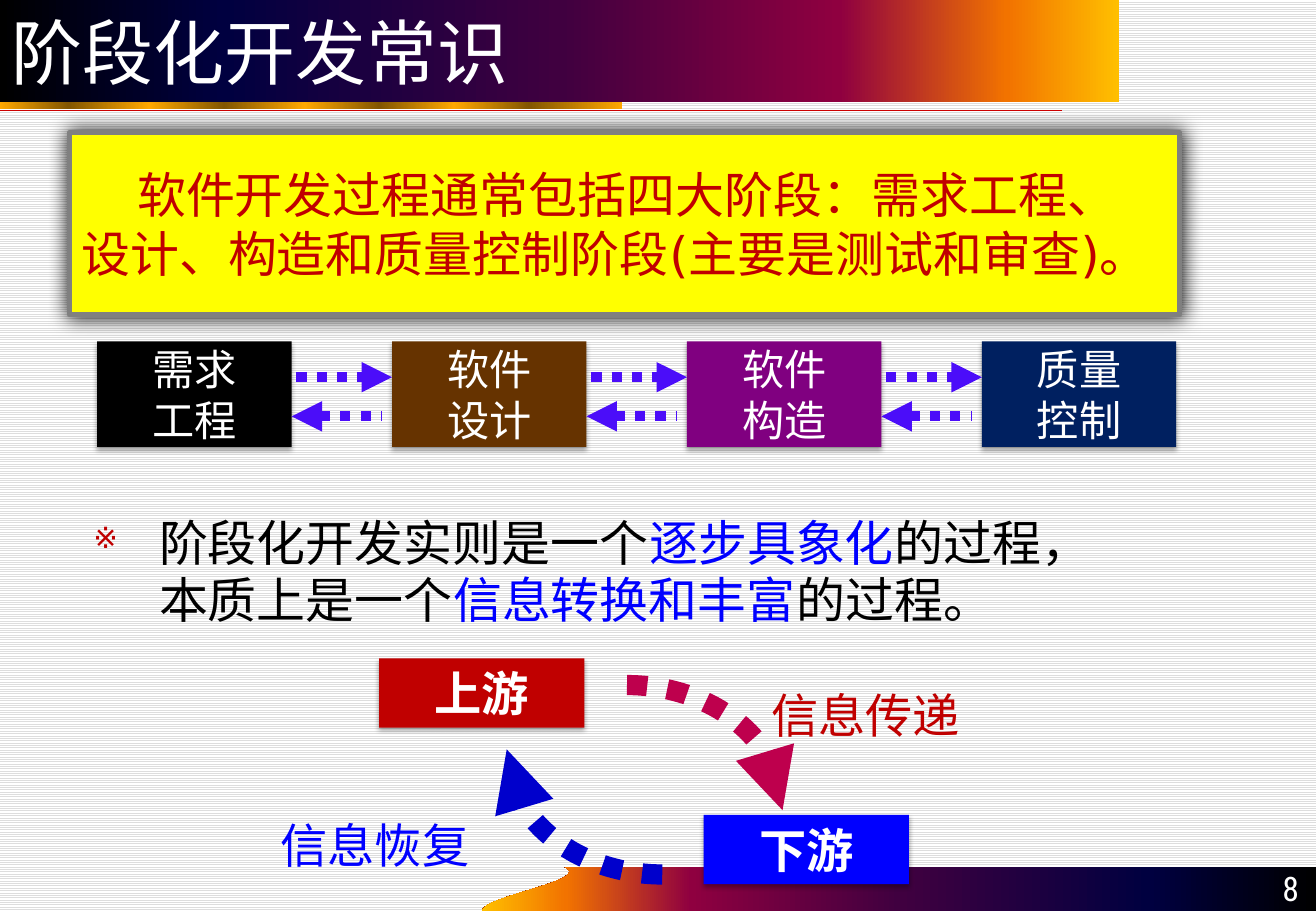
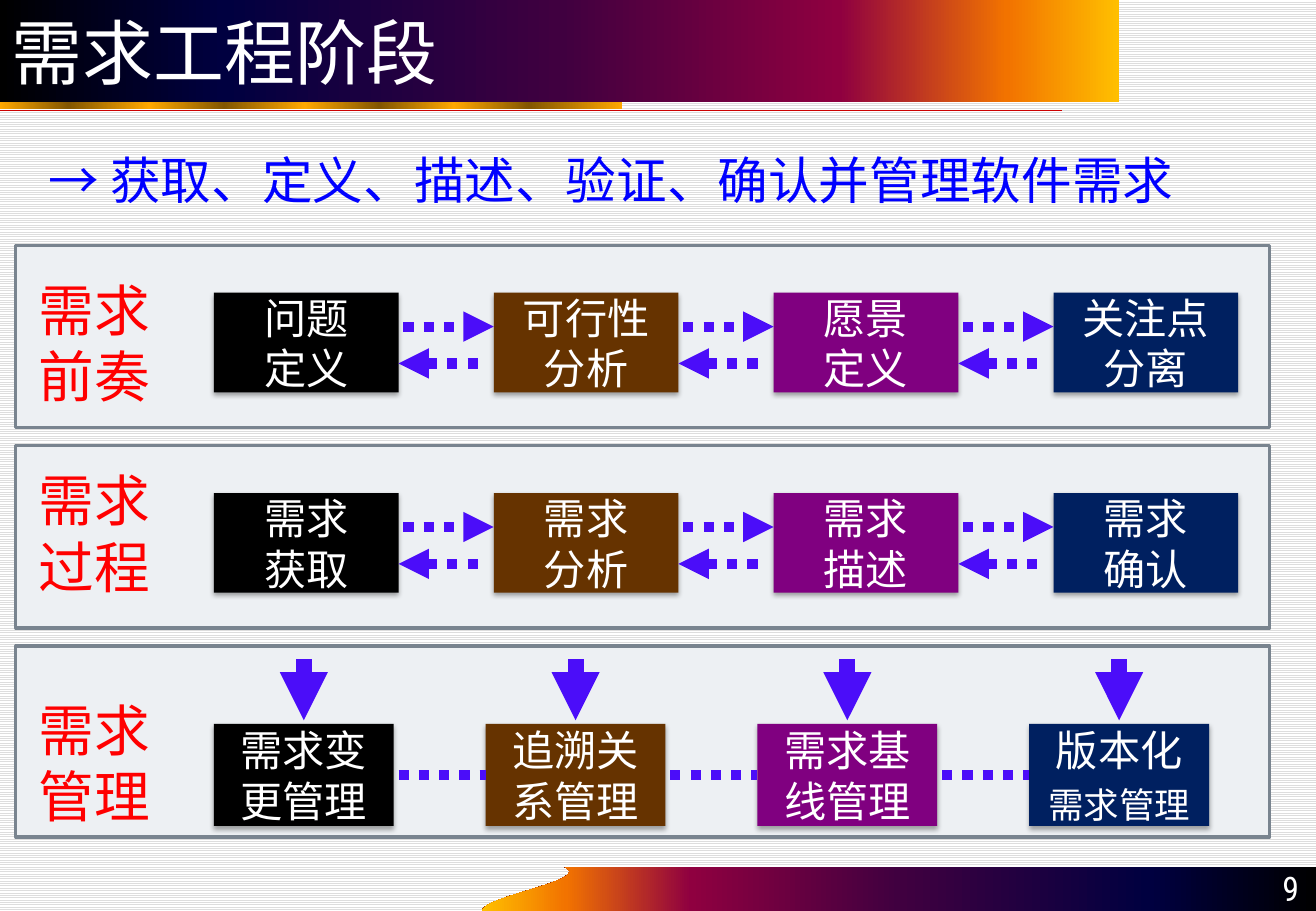
from math import cos, pi, sin

from pptx import Presentation
from pptx.dml.color import RGBColor
from pptx.enum.dml import MSO_LINE, MSO_PATTERN
from pptx.enum.shapes import MSO_CONNECTOR, MSO_SHAPE
from pptx.enum.text import MSO_ANCHOR, PP_ALIGN
from pptx.oxml.ns import qn
from pptx.util import Inches, Pt
from lxml.etree import SubElement

CJK, TITLE_FONT, NUMBER_FONT = "Noto Sans CJK SC", "DejaVu Sans", "Roboto Condensed"
COLORS = {
    "white": "FFFFFF", "black": "000000", "stripe": "DDDDDD", "rule": "CC0000",
    "brown": "663300", "purple": "800080", "navy": "002060", "arrow": "4B0DF9",
    "yellow": "FFFF00", "gray": "808080", "red": "C00000", "blue": "0000FF",
    "label": "FF0000", "panel": "EDF0F3", "panel_line": "79848F",
    "pass_on": "BE004D", "recover": "0000CC",
}
BAND_STOPS = [(0, "000000"), (20, "000040"), (50, "400040"),
              (75, "8F0040"), (90, "F27300"), (100, "FFBF00")]
GOLD_STOPS = [(0, "FFA800"), (11, "825600"), (24, "FFA800"), (36, "825600"), (49, "FFA800"),
              (61, "825600"), (73, "FFA800"), (85, "825600"), (100, "FFA800")]
BOX_COLORS = ["black", "brown", "purple", "navy"]
SOFT_SHADOW = {"alpha": 35, "blur": 3.1, "distance": 1.8}
WIDE_SHADOW = {"alpha": 85, "blur": 12, "distance": 0}

SUMMARY = "软件开发过程通常包括四大阶段：需求工程、\n设计、构造和质量控制阶段(主要是测试和审查)。"
PHASES = ["需求\n工程", "软件\n设计", "软件\n构造", "质量\n控制"]
ESSENCE = [("阶段化开发实则是一个", "black"), ("逐步具象化", "blue"),
           ("的过程，\n本质上是一个", "black"), ("信息转换和丰富", "blue"), ("的过程。", "black")]
STREAMS = [("上游", "red", 3.12, 5.42), ("下游", "blue", 5.79, 6.71)]
FLOW_LABELS = [("信息传递", "red", 6.25, 5.6), ("信息恢复", "blue", 2.21, 6.67)]
# centre x, centre y, start angle in quarter turns, colour
FLOW_ARCS = [(5.16, 6.67, -1, "pass_on"), (5.45, 6.17, 1, "recover")]

GOAL = "→ 获取、定义、描述、验证、确认并管理软件需求"
PANELS = [
    {"top": 2.02, "height": 1.5, "label": "需求\n前奏", "label_top": 2.22, "box_top": 2.41,
     "boxes": ["问题\n定义", "可行性\n分析", "愿景\n定义", "关注点\n分离"]},
    {"top": 3.67, "height": 1.5, "label": "需求\n过程", "label_top": 3.79, "box_top": 4.06,
     "boxes": ["需求\n获取", "需求\n分析", "需求\n描述", "需求\n确认"]},
    {"top": 5.32, "height": 1.57, "label": "需求\n管理", "label_top": 5.68, "box_top": 5.96,
     "boxes": ["需求变更管理", "追溯关系管理", "需求基线管理",
               [("版本化\n", "white", 25), ("需求管理", "white", 21)]]},
]


def rgb(name):
    return RGBColor.from_string(COLORS[name])


def write(shape, runs, size, color="white", font=CJK, bold=False, align=PP_ALIGN.LEFT,
          anchor=MSO_ANCHOR.MIDDLE, spacing=None, wrap=True):
    """Write one paragraph; runs is a string or a list of (text, colour[, size])."""
    frame = shape.text_frame
    frame.word_wrap = wrap
    frame.vertical_anchor = anchor
    paragraph = frame.paragraphs[0]
    paragraph.alignment = align
    if spacing:
        paragraph.line_spacing = Pt(spacing)
    if isinstance(runs, str):
        runs = [(runs, color)]
    for text, run_color, *own_size in runs:
        for index, line in enumerate(text.split("\n")):
            if index:
                paragraph.add_line_break()
            if not line:
                continue
            run = paragraph.add_run()
            run.text = line
            run.font.size = Pt(own_size[0] if own_size else size)
            run.font.bold = bold
            run.font.name = font
            run.font.color.rgb = rgb(run_color)
            SubElement(run.font._element, qn("a:ea"), typeface=font)
    return paragraph


def set_indent(paragraph, left, first):
    properties = paragraph._p.get_or_add_pPr()
    properties.set("marL", str(Inches(left)))
    properties.set("indent", str(Inches(first)))
    return properties


def add_bullet(paragraph, character, color):
    properties = set_indent(paragraph, 0.54, -0.54)
    bullet_color = SubElement(properties, qn("a:buClr"))
    SubElement(bullet_color, qn("a:srgbClr"), val=COLORS[color])
    SubElement(properties, qn("a:buSzPct"), val="60000")
    SubElement(properties, qn("a:buChar"), char=character)


def add_shadow(shape, alpha, blur, distance):
    effects = shape._element.spPr.find(qn("a:effectLst"))
    shadow = SubElement(effects, qn("a:outerShdw"), blurRad=str(Pt(blur)), dist=str(Pt(distance)),
                        dir="5400000", algn="ctr", rotWithShape="0")
    color = SubElement(shadow, qn("a:srgbClr"), val=COLORS["black"])
    SubElement(color, qn("a:alpha"), val=str(alpha * 1000))


def add_rectangle(slide, left, top, width, height, fill=None, line=None, line_width=1, shadow=None):
    shape = slide.shapes.add_shape(MSO_SHAPE.RECTANGLE, Inches(left), Inches(top),
                                   Inches(width), Inches(height))
    shape.shadow.inherit = False
    if fill:
        shape.fill.solid()
        shape.fill.fore_color.rgb = rgb(fill)
    if line:
        shape.line.color.rgb = rgb(line)
        shape.line.width = Pt(line_width)
    else:
        shape.line.fill.background()
    if shadow:
        add_shadow(shape, **shadow)
    return shape


def add_text(slide, left, top, width, height, runs, size, **options):
    box = slide.shapes.add_textbox(Inches(left), Inches(top), Inches(width), Inches(height))
    return write(box, runs, size, **options)


def fill_gradient(shape, stops, angle=0):
    shape.fill.gradient()
    shape.fill.gradient_angle = angle
    stop_list = shape._element.spPr.find(qn("a:gradFill")).find(qn("a:gsLst"))
    for stop in list(stop_list):
        stop_list.remove(stop)
    for position, color in stops:
        stop = SubElement(stop_list, qn("a:gs"), pos=str(position * 1000))
        SubElement(stop, qn("a:srgbClr"), val=color)


def style_line(line, color, width, dotted=True, head=False, tail=False):
    line.color.rgb = rgb(color)
    line.width = Pt(width)
    if dotted:
        line.dash_style = MSO_LINE.ROUND_DOT
    for wanted, tag in ((head, "a:headEnd"), (tail, "a:tailEnd")):
        if wanted:
            SubElement(line._get_or_add_ln(), qn(tag), type="triangle")


def add_line(slide, start, end, color, width, **options):
    points = [Inches(value) for value in (*start, *end)]
    connector = slide.shapes.add_connector(MSO_CONNECTOR.STRAIGHT, *points)
    style_line(connector.line, color, width, **options)
    SubElement(connector._element.spPr, qn("a:effectLst"))


def add_outline(slide, points, close):
    points = [(Inches(x), Inches(y)) for x, y in points]
    builder = slide.shapes.build_freeform(*points[0])
    builder.add_line_segments(points[1:], close=close)
    shape = builder.convert_to_shape()
    shape.shadow.inherit = False
    return shape


def add_flow_arc(slide, center_x, center_y, quarter, color, radius_x=1.28, radius_y=1.03, steps=40):
    """Draw a clockwise quarter ellipse ending in an arrowhead."""
    angles = [(quarter + step / steps) * pi / 2 for step in range(steps + 1)]
    points = [(center_x + radius_x * cos(angle), center_y + radius_y * sin(angle))
              for angle in angles]
    arc = add_outline(slide, points, close=False)
    arc.fill.background()
    style_line(arc.line, color, 12, tail=True)


def bezier(start, control_1, control_2, end, steps=24):
    points = []
    for step in range(steps + 1):
        t = step / steps
        weights = ((1 - t) ** 3, 3 * t * (1 - t) ** 2, 3 * t * t * (1 - t), t ** 3)
        points.append(tuple(sum(weight * point[axis] for weight, point in
                                zip(weights, (start, control_1, control_2, end)))
                            for axis in (0, 1)))
    return points


def add_base_slide(presentation, title, number):
    """Add a slide with the background, bands, title and number that all slides share."""
    slide = presentation.slides.add_slide(presentation.slide_layouts[6])
    background = slide.background.fill
    background.patterned()
    background.pattern = MSO_PATTERN.LIGHT_HORIZONTAL
    background.fore_color.rgb = rgb("stripe")
    background.back_color.rgb = rgb("white")

    curve = bezier((3.97, 7.5), (3.97, 7.38), (4.87, 7.25), (4.65, 7.14))
    footer = add_outline(slide, curve + [(10.83, 7.14), (10.83, 7.5)], close=True)
    fill_gradient(footer, BAND_STOPS, 180)
    footer.line.fill.background()
    fill_gradient(add_rectangle(slide, 0, 0.76, 5.12, 0.14), GOLD_STOPS)
    add_line(slide, (0, 0.91), (8.74, 0.91), "rule", 0.75, dotted=False)
    title_band = add_rectangle(slide, 0, 0, 9.21, 0.84)
    fill_gradient(title_band, BAND_STOPS)
    write(title_band, title, 42, font=TITLE_FONT)
    add_text(slide, 9.83, 7.13, 0.96, 0.4, str(number), 20, font=NUMBER_FONT,
             align=PP_ALIGN.RIGHT, anchor=MSO_ANCHOR.BOTTOM)
    return slide


def add_box_row(slide, texts, left, last_left, top, width, height, two_way=True):
    """Add evenly spaced boxes with links between them and return their left edges."""
    pitch = (last_left - left) / (len(texts) - 1)
    lefts = [left + index * pitch for index in range(len(texts))]
    for box_left, text, color in zip(lefts, texts, BOX_COLORS):
        box = add_rectangle(slide, box_left, top, width, height, color, shadow=SOFT_SHADOW)
        write(box, text, 25, align=PP_ALIGN.CENTER, spacing=30)
    for box_left, next_left in zip(lefts, lefts[1:]):
        right = box_left + width
        forward_y = top + height * (0.34 if two_way else 0.5)
        add_line(slide, (right + 0.04, forward_y), (next_left, forward_y), "arrow", 6, tail=two_way)
        if two_way:
            back_y = top + height * 0.71
            add_line(slide, (right, back_y), (next_left - 0.08, back_y), "arrow", 6, head=True)
    return lefts


def build_phases(presentation):
    slide = add_base_slide(presentation, "阶段化开发常识", 8)
    summary = add_rectangle(slide, 0.57, 1.09, 9.14, 1.5, "yellow", "gray", 3, WIDE_SHADOW)
    paragraph = write(summary, SUMMARY, 29, "red", TITLE_FONT, spacing=35)
    set_indent(paragraph, 0, 0.46)
    add_box_row(slide, PHASES, 0.8, 8.08, 2.81, 1.6, 0.87)
    paragraph = add_text(slide, 0.67, 4.18, 9.48, 1.02, ESSENCE, 29,
                         anchor=MSO_ANCHOR.TOP, spacing=34)
    add_bullet(paragraph, "※", "red")
    for arc in FLOW_ARCS:
        add_flow_arc(slide, *arc)
    for text, color, left, top in STREAMS:
        box = add_rectangle(slide, left, top, 1.69, 0.57, color, shadow=SOFT_SHADOW)
        write(box, text, 28, bold=True, align=PP_ALIGN.CENTER)
    for text, color, left, top in FLOW_LABELS:
        add_text(slide, left, top, 1.77, 0.57, text, 28, color=color, wrap=False)


def build_requirements(presentation):
    slide = add_base_slide(presentation, "需求工程阶段", 9)
    add_text(slide, 0.3, 1.18, 9.79, 0.47, GOAL, 30, color="blue",
             anchor=MSO_ANCHOR.TOP, spacing=36)
    for panel in PANELS:
        add_rectangle(slide, 0.13, panel["top"], 10.32, panel["height"], "panel", "panel_line", 2)
        add_text(slide, 0.22, panel["label_top"], 1.14, 1.22, panel["label"], 33, color="label",
                 anchor=MSO_ANCHOR.TOP, spacing=39.5, wrap=False)
    *flows, management = PANELS
    for panel in flows:
        add_box_row(slide, panel["boxes"], 1.76, 8.67, panel["box_top"], 1.52, 0.82)
    width = 1.48
    lefts = add_box_row(slide, management["boxes"], 1.76, 8.47, management["box_top"],
                        width, 0.84, two_way=False)
    for left in lefts:
        center = left + width / 2
        add_line(slide, (center, 5.93), (center, 5.4), "arrow", 9.5, head=True)


def main():
    presentation = Presentation()
    presentation.slide_width = Inches(10.83)
    presentation.slide_height = Inches(7.5)
    build_phases(presentation)
    build_requirements(presentation)
    presentation.save("out.pptx")


if __name__ == "__main__":
    main()
